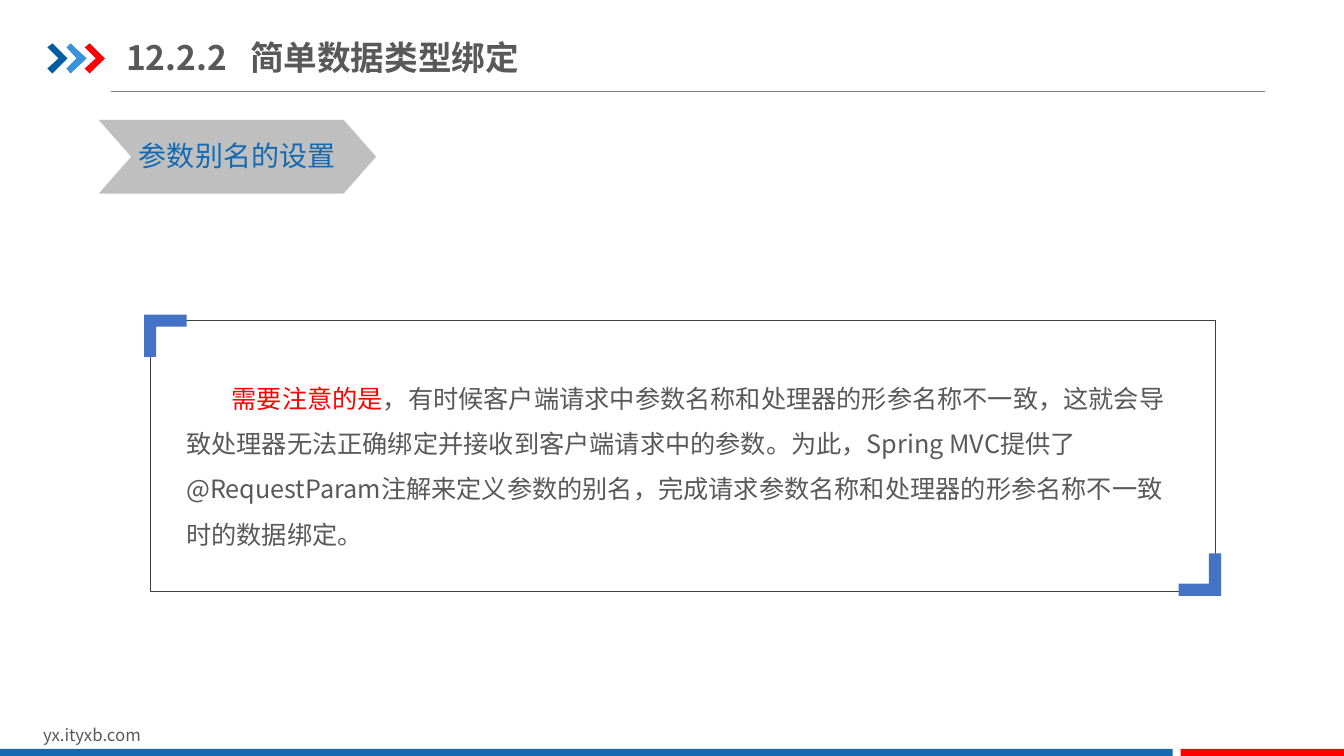
import pptx
import pptx.util
import pptx.dml.color
import pptx.enum.shapes
import pptx.enum.text
import pptx.oxml.ns
from lxml import etree

# Content: each text is a list of (words, colour name)
TITLE = [("12.2.2\t简单数据类型绑定", "gray")]
TOPIC = [("参数别名的设置", "blue")]
SITE = [("yx.ityxb.com", "gray")]
NOTE = [
    ("需要注意的是", "red"),
    ("，有时候客户端请求中参数名称和处理器的形参名称不一致，这就会导致处理器无法"
     "正确绑定并接收到客户端请求中的参数。为此，Spring MVC提供了@RequestParam注解"
     "来定义参数的别名，完成请求参数名称和处理器的形参名称不一致时的数据绑定。", "gray"),
]

THEME = {
    "font": "Noto Sans CJK SC",
    "size": {"title": 24, "topic": 20, "note": 18, "site": 12},
    "color": {"gray": "595959", "blue": "1369B2", "red": "FF0000",
              "navy": "005DA2", "sky": "3992DB", "silver": "BFBFBF",
              "rule": "808080", "frame": "404040", "corner": "4472C4"},
}

# Grid: 1333 columns by 750 rows of square cells
COLS, ROWS = 1333, 750
CELL = pptx.util.Inches(0.01)
FRAME = (149, 318, 1056, 269)
EDGE = 6      # how far a corner stands out of the frame
ARROW = [(0, 4), (5, 0), (20, 15), (5, 30), (0, 25), (11, 15)]
CORNER = [(0, 0), (42, 0), (42, 12), (12, 12), (12, 42), (0, 42)]

SHAPE = pptx.enum.shapes.MSO_SHAPE
ANCHOR = pptx.enum.text.MSO_ANCHOR
ALIGN = pptx.enum.text.PP_ALIGN


def cells(*nums):
    return [round(n * CELL) for n in nums]


def color(name):
    return pptx.dml.color.RGBColor.from_string(THEME["color"][name])


def put(item, **vals):
    for key, val in vals.items():
        setattr(item, key, val)


def sub(node, tag, **vals):
    return etree.SubElement(node, pptx.oxml.ns.qn(tag), **vals)


def paint(shape, fill=None, line=None, width=0.25):
    shape.shadow.inherit = False
    if fill:
        shape.fill.solid()
        shape.fill.fore_color.rgb = color(fill)
    else:
        shape.fill.background()
    if line:
        shape.line.color.rgb = color(line)
        shape.line.width = pptx.util.Pt(width)
    else:
        shape.line.fill.background()


def block(kind, area, **look):
    shape = slide.shapes.add_shape(kind, *cells(*area))
    paint(shape, **look)
    return shape


def outline(x, y, points, fill, turn=1):
    spots = [(x + turn * a, y + turn * b) for a, b in points]
    form = slide.shapes.build_freeform(*spots[0], scale=CELL)
    form.add_line_segments(spots[1:], close=True)
    paint(form.convert_to_shape(), fill=fill)


def write(box, area, runs, size, pads=(10, 5), indent=0, tab=0,
          bold=False, anchor=ANCHOR.TOP, space=1.0):
    left, top, width, height = cells(*area)
    put(box, left=left, top=top, width=width, height=height)
    side, edge = cells(*pads)
    frame = box.text_frame
    put(frame, word_wrap=True, auto_size=pptx.enum.text.MSO_AUTO_SIZE.NONE,
        vertical_anchor=anchor, margin_left=side, margin_right=side,
        margin_top=edge, margin_bottom=edge)
    para = frame.paragraphs[0]
    put(para, alignment=ALIGN.LEFT, line_spacing=space,
        space_before=pptx.util.Pt(0))
    props = para._p.get_or_add_pPr()
    if indent:
        props.set("indent", str(cells(indent)[0]))
    if tab:
        stops = sub(props, "a:tabLst")
        sub(stops, "a:tab", pos=str(cells(tab)[0]), algn="l")
    for words, tint in runs:
        run = para.add_run()
        run.text = words
        put(run.font, size=pptx.util.Pt(THEME["size"][size]),
            name=THEME["font"], bold=bold)
        run.font.color.rgb = color(tint)
        sub(run._r.get_or_add_rPr(), "a:ea", typeface=THEME["font"])


def label(area, runs, size, **look):
    box = slide.shapes.add_textbox(*cells(*area))
    write(box, area, runs, size, **look)


deck = pptx.Presentation()
deck.slide_width, deck.slide_height = cells(COLS, ROWS)
slide = deck.slides.add_slide(deck.slide_layouts[5])

# Header: rule, three arrows, title
rule = slide.shapes.add_connector(
    pptx.enum.shapes.MSO_CONNECTOR.STRAIGHT, *cells(110, 91, 1255, 91))
rule.line.color.rgb = color("rule")
rule.line.width = pptx.util.Pt(0.5)
sub(rule._element.spPr, "a:effectLst")
for step, tint in enumerate(("navy", "sky", "red")):
    outline(47 + 18.5 * step, 43, ARROW, tint)
write(slide.shapes.title, (125, 29, 441, 55), TITLE, "title",
      pads=(0, 7), tab=123, bold=True, anchor=ANCHOR.MIDDLE)

# Footer: site and two bars
label((33, 714, 318, 30), SITE, "site")
for left, right, tint in ((0, 1163, "blue"), (1171, COLS, "red")):
    block(SHAPE.RECTANGLE, (left, 743, right - left, ROWS - 743), fill=tint)

# Topic banner
banner = block(SHAPE.CHEVRON, (98, 119, 275, 73), fill="silver")
banner.adjustments[0] = 0.44
label((128, 133, 244, 44), TOPIC, "topic")

# Framed note with two opposite corners
label((175, 360, 994, 198), NOTE, "note", indent=45, space=1.5)
block(SHAPE.RECTANGLE, FRAME, line="frame")
x, y, wide, high = FRAME
outline(x - EDGE, y - EDGE, CORNER, "corner")
outline(x + wide + EDGE, y + high + EDGE - 2, CORNER, "corner", turn=-1)

deck.save("out.pptx")
